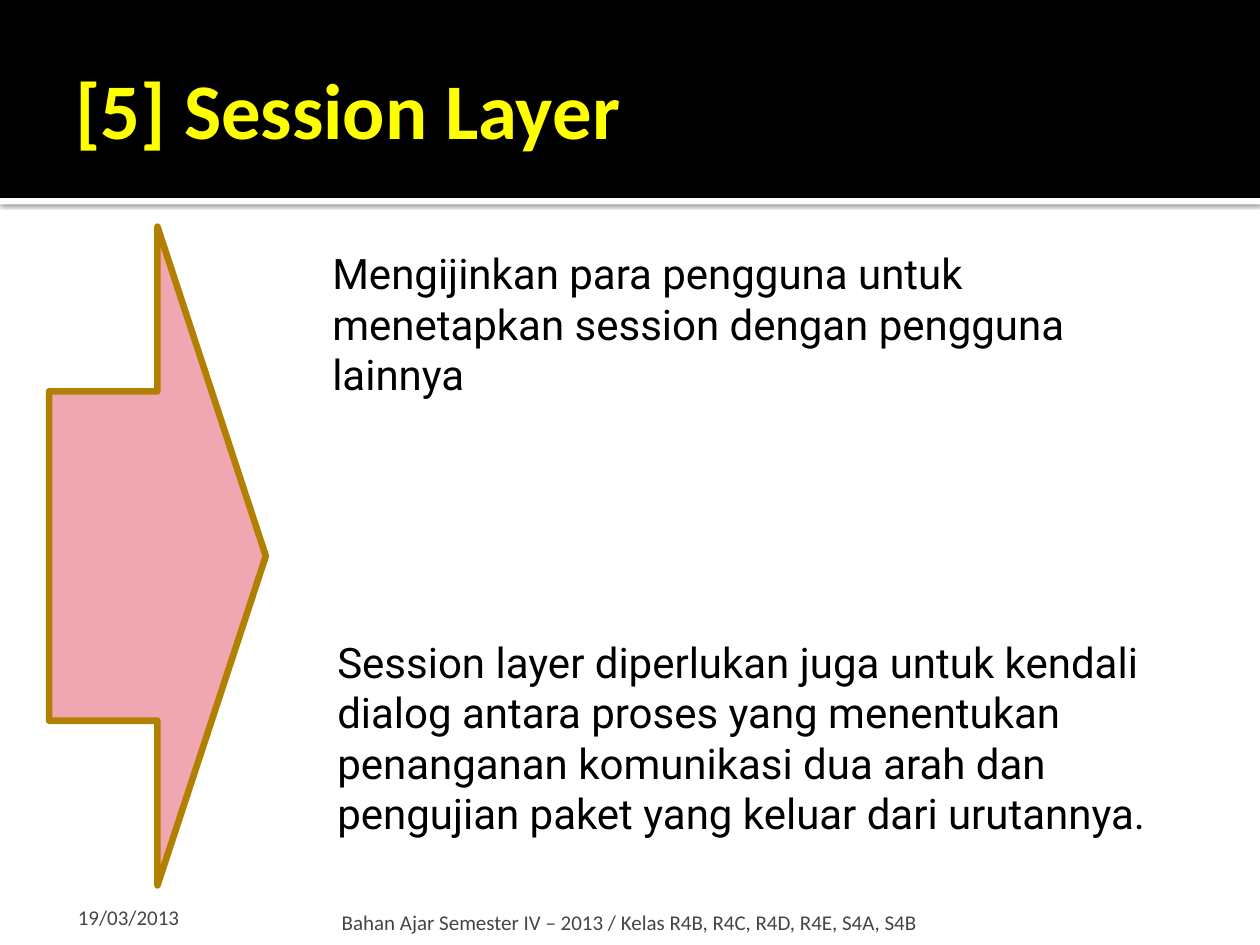
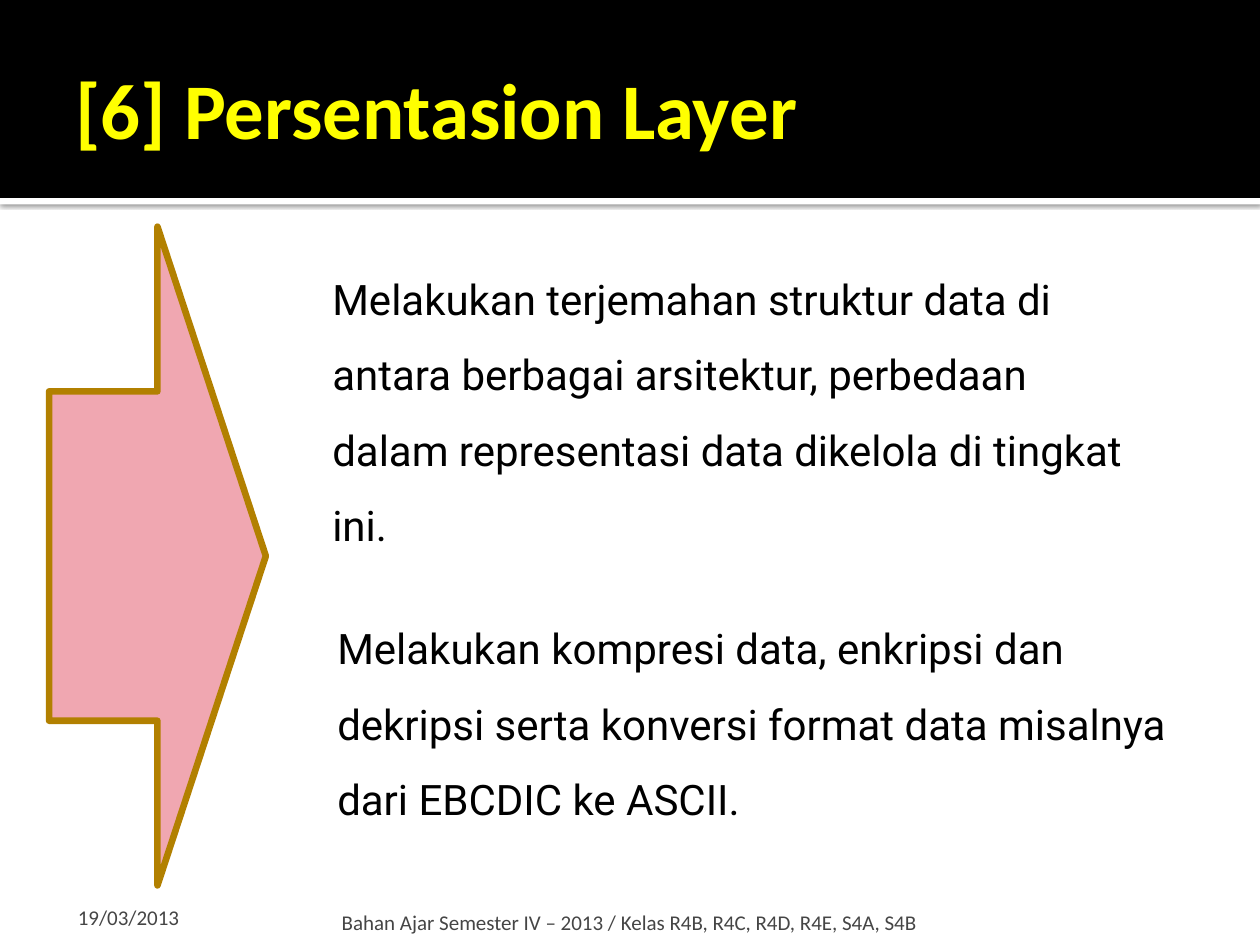
from dataclasses import dataclass

import pptx
import pptx.dml.color
import pptx.enum.shapes
import pptx.enum.text
import pptx.oxml
import pptx.oxml.ns
import pptx.util
from pptx.util import Cm, Pt

Shapes = pptx.enum.shapes.MSO_SHAPE
Anchor = pptx.enum.text.MSO_ANCHOR


@dataclass(frozen=True)
class TextStyle:
    font: str
    size: float
    colour: str
    bold: bool = False


@dataclass(frozen=True)
class Theme:
    band: str = "000000"
    rule: str = "FFFFFF"
    arrow: str = "F0A7B1"
    arrow_edge: str = "B28000"
    title: TextStyle = TextStyle("Calibri", 45, "FFFF00", True)
    body: TextStyle = TextStyle("Roboto", 24, "000000")
    footer: TextStyle = TextStyle("Calibri", 12, "454545")


@dataclass(frozen=True)
class Area:
    """Left, top, width and height in centimetres."""
    left: float
    top: float
    width: float
    height: float

    def lengths(self) -> tuple:
        return Cm(self.left), Cm(self.top), Cm(self.width), Cm(self.height)


@dataclass(frozen=True)
class TextBlock:
    area: Area
    lines: tuple[str, ...]
    style: TextStyle
    insets: tuple[float, float, float, float] = (0.25, 0.13, 0.25, 0.13)
    anchor: Anchor = Anchor.TOP
    spacing: float = 1.0


@dataclass(frozen=True)
class LayerPage:
    title: str
    upper_lines: tuple[str, ...]
    upper_height: float
    lower_text: str
    lower_top: float
    spacing: float


THEME = Theme()
PAGE_WIDTH, PAGE_HEIGHT = 25.4, 19.05
BAND_HEIGHT = 3.99
BAND = Area(0, 0, PAGE_WIDTH, BAND_HEIGHT)
RULE = Area(0, BAND_HEIGHT, PAGE_WIDTH, 0.13)
TITLE = Area(1.27, 0.43, 22.86, 3.48)
ARROW = Area(0.99, 4.57, 4.37, 13.28)
BODY_LEFT = 6.55

FOOTERS = (
    TextBlock(Area(1.27, 17.98, 5.92, 0.76), ("19/03/2013",),
              THEME.footer, (0.3, 0.13, 0.13, 0), Anchor.BOTTOM),
    TextBlock(Area(6.76, 17.83, 13.54, 1.02),
              ("Bahan Ajar Semester IV – 2013 / Kelas R4B, R4C, R4D, R4E, S4A, S4B",),
              THEME.footer, (0.13, 0.13, 0.13, 0), Anchor.BOTTOM),
)

LAYERS = (
    LayerPage(
        "[5] Session Layer",
        ("Mengijinkan para pengguna untuk menetapkan session dengan pengguna lainnya",),
        6.15,
        "Session layer diperlukan juga untuk kendali dialog antara proses yang "
        "menentukan penanganan komunikasi dua arah dan pengujian paket yang "
        "keluar dari urutannya.",
        12.7, 1.0),
    LayerPage(
        "[6] Persentasion Layer",
        ("Melakukan terjemahan struktur data di",
         "antara berbagai arsitektur, perbedaan",
         "dalam representasi data dikelola di tingkat",
         "ini."),
        4.57,
        "Melakukan kompresi data, enkripsi dan dekripsi serta konversi format "
        "data misalnya dari EBCDIC ke ASCII.",
        11.91, 1.5),
)


def rgb(colour: str) -> pptx.dml.color.RGBColor:
    return pptx.dml.color.RGBColor.from_string(colour)


def write_text(box, block: TextBlock) -> None:
    """Place a text box or placeholder and fill it with one paragraph."""
    box.left, box.top, box.width, box.height = block.area.lengths()
    frame = box.text_frame
    frame.word_wrap = True
    frame.auto_size = pptx.enum.text.MSO_AUTO_SIZE.NONE
    frame.vertical_anchor = block.anchor
    (frame.margin_left, frame.margin_top,
     frame.margin_right, frame.margin_bottom) = map(Cm, block.insets)
    para = frame.paragraphs[0]
    para.alignment = pptx.enum.text.PP_ALIGN.LEFT
    para.line_spacing = block.spacing
    for index, line in enumerate(block.lines):
        if index:
            para.add_line_break()
        span = para.add_run()
        span.text = line
        span.font.name = block.style.font
        span.font.size = Pt(block.style.size)
        span.font.bold = block.style.bold
        span.font.color.rgb = rgb(block.style.colour)


def add_text(page, block: TextBlock) -> None:
    write_text(page.shapes.add_textbox(*block.area.lengths()), block)


def add_filled_shape(page, preset: Shapes, area: Area, fill: str):
    shape = page.shapes.add_shape(preset, *area.lengths())
    shape.shadow.inherit = False
    shape.fill.solid()
    shape.fill.fore_color.rgb = rgb(fill)
    shape.line.fill.background()
    return shape


def add_drop_shadow(shape) -> None:
    effects = shape._element.spPr.find(pptx.oxml.ns.qn("a:effectLst"))
    effects.append(pptx.oxml.parse_xml(
        f'<a:outerShdw {pptx.oxml.ns.nsdecls("a")} blurRad="{Pt(2.5)}" '
        f'dist="{Pt(0.8)}" dir="5400000" algn="tl" rotWithShape="0">'
        '<a:srgbClr val="000000"><a:alpha val="60000"/></a:srgbClr></a:outerShdw>'))


def add_header(page, text: str) -> None:
    rule = add_filled_shape(page, Shapes.RECTANGLE, RULE, THEME.rule)
    add_drop_shadow(rule)
    add_filled_shape(page, Shapes.RECTANGLE, BAND, THEME.band)
    title = page.shapes.title
    write_text(title, TextBlock(TITLE, (text,), THEME.title,
                                (0.25, 0.13, 0.13, 0.13), Anchor.MIDDLE))
    title.line.color.rgb = rgb(THEME.band)
    title.line.width = Pt(0.75)
    # The title must lie in front of the band
    page.shapes._spTree.append(title._element)


def add_arrow(page) -> None:
    arrow = add_filled_shape(page, Shapes.RIGHT_ARROW, ARROW, THEME.arrow)
    arrow.line.color.rgb = rgb(THEME.arrow_edge)
    arrow.line.width = Pt(3.78)


def add_layer_page(deck, layer: LayerPage) -> None:
    title_only = deck.slide_layouts.get_by_name("Title Only")
    page = deck.slides.add_slide(title_only)
    add_header(page, layer.title)
    add_text(page, TextBlock(Area(BODY_LEFT, 4.75, 16.87, layer.upper_height),
                             layer.upper_lines, THEME.body,
                             (0.15, 0.25, 0.25, 0.13), spacing=layer.spacing))
    for footer in FOOTERS:
        add_text(page, footer)
    add_arrow(page)
    add_text(page, TextBlock(Area(BODY_LEFT, layer.lower_top, 17.86, 4.78),
                             (layer.lower_text,), THEME.body,
                             spacing=layer.spacing))


def main() -> None:
    deck = pptx.Presentation()
    deck.slide_width, deck.slide_height = Cm(PAGE_WIDTH), Cm(PAGE_HEIGHT)
    for layer in LAYERS:
        add_layer_page(deck, layer)
    deck.save("out.pptx")


if __name__ == "__main__":
    main()
